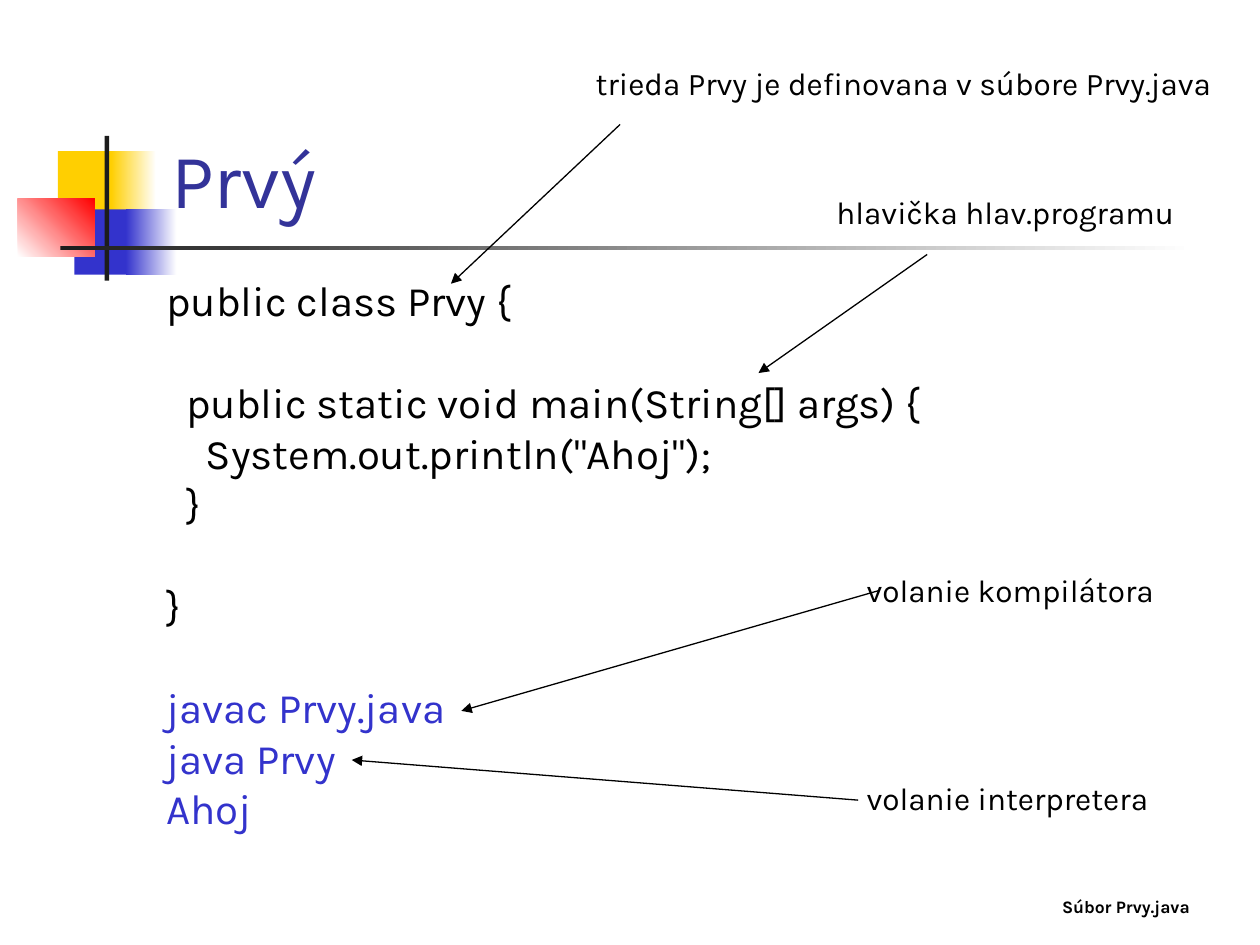
from pptx import Presentation
from pptx.dml.color import RGBColor
from pptx.enum.shapes import MSO_CONNECTOR, MSO_SHAPE
from pptx.enum.text import MSO_ANCHOR, PP_ALIGN
from pptx.oxml.ns import qn
from pptx.util import Cm, Pt
from lxml.etree import SubElement


def color(hex_text):
    return RGBColor.from_string(hex_text)


class SlideMaker:
    FONT = "Karla"
    BLACK, WHITE, DARK = "000000", "FFFFFF", "1C1C1C"
    YELLOW, BLUE, RED, NAVY = "FFCF01", "3333CC", "FF0000", "333399"

    def __init__(self, prs):
        self.s = prs.slides.add_slide(prs.slide_layouts[5])

    def style(self, p, size, hex_text, bold=False):
        for r in p.runs:
            r.font.name = self.FONT
            r.font.size = Pt(size)
            r.font.bold = bold
            r.font.color.rgb = color(hex_text)

    def title(self, text, left, top, width, height):
        sp = self.s.shapes.title
        sp.left, sp.top, sp.width, sp.height = map(Cm, (left, top, width, height))
        tf = sp.text_frame
        tf.text = text
        tf.vertical_anchor = MSO_ANCHOR.BOTTOM
        p = tf.paragraphs[0]
        p.alignment = PP_ALIGN.LEFT
        self.style(p, 44, self.NAVY)

    def block(self, left, top, width, height, start, end=None, angle=0):
        """Rectangle in one colour, or fading from start to end."""
        sp = self.s.shapes.add_shape(
            MSO_SHAPE.RECTANGLE, *map(Cm, (left, top, width, height)))
        sp.shadow.inherit = False
        sp.line.fill.background()
        if end is None:
            sp.fill.solid()
            sp.fill.fore_color.rgb = color(start)
            return
        sp.fill.gradient()
        sp.fill.gradient_angle = angle
        for stop, hex_text, position in zip(sp.fill.gradient_stops, (start, end), (0, 1)):
            stop.color.rgb = color(hex_text)
            stop.position = position

    def text_box(self, left, top, width, height):
        tf = self.s.shapes.add_textbox(*map(Cm, (left, top, width, height))).text_frame
        tf.word_wrap = True
        return tf

    def label(self, text, left, top, width, height=1.02, size=18, bold=False):
        tf = self.text_box(left, top, width, height)
        tf.text = text
        self.style(tf.paragraphs[0], size, self.BLACK, bold)

    def listing(self, lines, left, top, width, height):
        """Code lines, each given as text, colour and space before."""
        tf = self.text_box(left, top, width, height)
        for i, (text, hex_text, before) in enumerate(lines):
            p = tf.paragraphs[0] if i == 0 else tf.add_paragraph()
            p.text = text
            p.line_spacing = 0.8
            p.space_before = Pt(before)
            self.style(p, 24, hex_text)

    def arrow(self, x1, y1, x2, y2):
        c = self.s.shapes.add_connector(
            MSO_CONNECTOR.STRAIGHT, *map(Cm, (x1, y1, x2, y2)))
        c.line.color.rgb = color(self.BLACK)
        c.line.width = Pt(0.75)
        SubElement(c.line._get_or_add_ln(), qn("a:tailEnd"), type="triangle")
        SubElement(c._element.spPr, qn("a:effectLst"))


def main():
    prs = Presentation()
    prs.slide_width, prs.slide_height = Cm(25.4), Cm(19.05)
    m = SlideMaker(prs)

    # Decoration: coloured squares, upright bar and fading rule
    m.block(1.17, 3.05, 1.22, 1.32, m.YELLOW)
    m.block(2.24, 3.05, 0.91, 1.32, m.YELLOW, m.WHITE)
    m.block(1.5, 4.22, 1.17, 1.32, m.BLUE)
    m.block(2.54, 4.22, 1.02, 1.32, m.BLUE, m.WHITE)
    m.block(0.36, 4.01, 1.55, 1.17, m.WHITE, m.RED, angle=45)
    m.block(2.11, 2.74, 0.09, 2.92, m.DARK)
    m.block(1.22, 4.95, 22.86, 0.09, m.DARK, m.WHITE)

    m.title("Prvý", 3.2, 0.58, 21.64, 4.06)

    # Program and the commands that run it
    near, apart = 6, 35
    m.listing([
        ("public class Prvy {", m.BLACK, 0),
        ("  public static void main(String[] args) {", m.BLACK, apart),
        ("    System.out.println(\"Ahoj\");", m.BLACK, near),
        ("  }", m.BLACK, near),
        ("}", m.BLACK, apart),
        ("javac Prvy.java", m.BLUE, apart),
        ("java Prvy", m.BLUE, near),
        ("Ahoj", m.BLUE, near),
    ], 3.1, 5.61, 21.77, 12.32)

    # Explanations with their arrows
    m.label("trieda Prvy je definovana v súbore Prvy.java", 11.76, 1.17, 13.49)
    m.arrow(12.5, 2.51, 9.09, 5.72)
    m.label("hlavička hlav.programu", 16.61, 3.76, 7.49)
    m.arrow(18.69, 5.13, 15.29, 7.52)
    m.label("volanie kompilátora", 17.22, 11.38, 6.43)
    m.arrow(17.7, 11.91, 9.3, 14.33)
    m.label("volanie interpretera", 17.22, 15.57, 6.43)
    m.arrow(17.3, 16.13, 7.09, 15.32)

    # File name
    m.label("Súbor Prvy.java", 21.16, 17.93, 3.23, 0.69, size=10, bold=True)

    prs.save("out.pptx")


if __name__ == "__main__":
    main()
